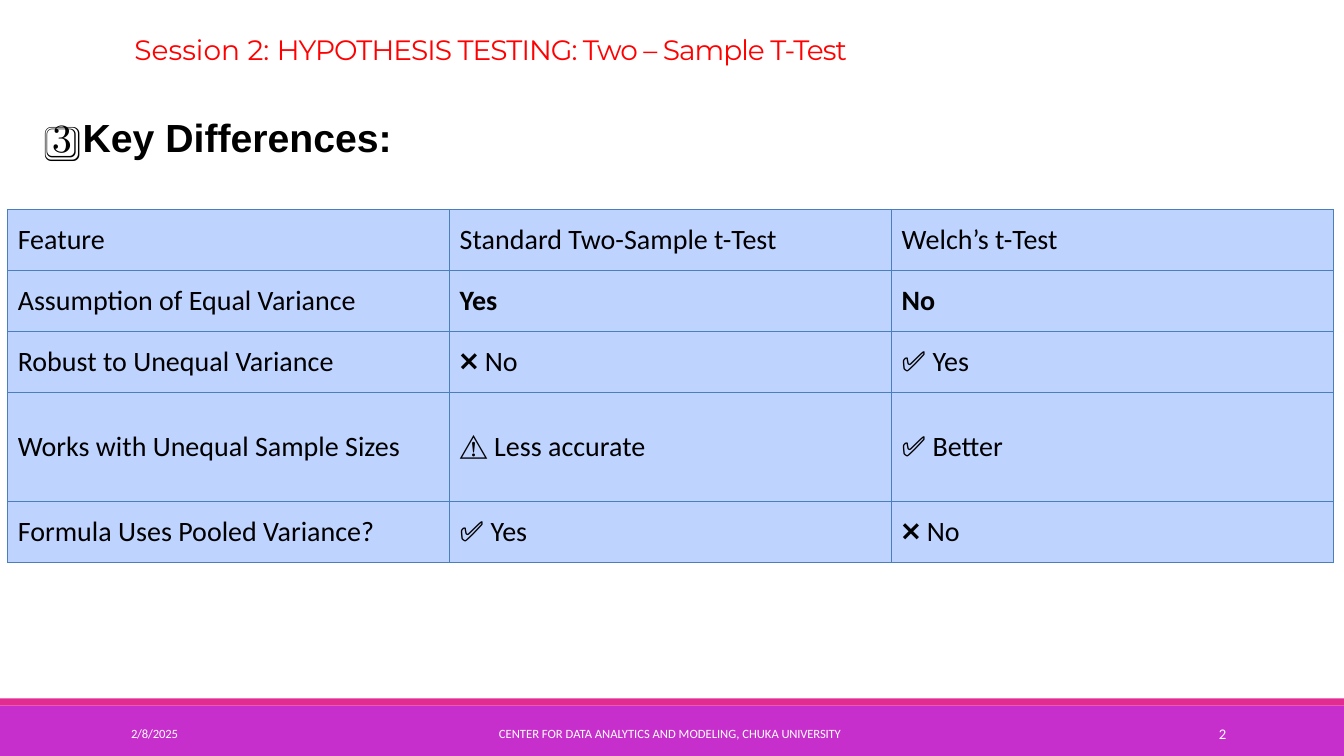
from lxml.etree import SubElement
from pptx import Presentation
from pptx.dml.color import RGBColor
from pptx.enum.shapes import MSO_SHAPE as Shape
from pptx.enum.text import MSO_ANCHOR as Anchor, MSO_AUTO_SIZE as AutoSize, PP_ALIGN as Align
from pptx.oxml.ns import qn
from pptx.util import Pt

COLORS = {
    "band": "C72FCC", "stripe": "E22C91", "cell": "BFD3FF", "border": "4B7EBC",
    "title": "FF0000", "text": "000000", "footer": "FFFFFF",
}


def style_font(font, name, size, color, bold=False):
    font.name = name
    font.size = Pt(size)
    font.bold = bold
    font.color.rgb = RGBColor.from_string(COLORS[color])


def write_line(box, pieces, name, size, color, top_inset):
    frame = box.text_frame
    frame.word_wrap = True
    frame.auto_size = AutoSize.NONE
    frame.vertical_anchor = Anchor.TOP
    frame.margin_left = frame.margin_right = frame.margin_bottom = 0
    frame.margin_top = Pt(top_inset)
    para = frame.paragraphs[0]
    para.alignment = Align.LEFT
    for text, spacing in pieces:
        span = para.add_run()
        span.text = text
        style_font(span.font, name, size, color)
        span.font._element.set("spc", str(round(spacing * 100)))


deck = Presentation()
deck.slide_width, deck.slide_height = Pt(960), Pt(540)
page = deck.slides.add_slide(deck.slide_layouts[5])

for color, top, height in [("band", 504, 36), ("stripe", 498.8, 5.2)]:
    bar = page.shapes.add_shape(Shape.RECTANGLE, 0, Pt(top), Pt(960), Pt(height))
    bar.shadow.inherit = False
    bar.fill.solid()
    bar.fill.fore_color.rgb = RGBColor.from_string(COLORS[color])
    bar.line.fill.background()

footers = [
    (93.6, 516.8, 40, 9, [("2/8/2025", -0.1)]),
    (356.4, 516.8, 256, 9,
     [("CENTER FOR DATA ANALYTICS AND MODELING, CHUKA ", 0), ("UNIVERSITY", -0.1)]),
    (870.6, 516.2, 12, 10.5, [("2", -0.5)]),
]
for left, top, width, size, pieces in footers:
    box = page.shapes.add_textbox(Pt(left), Pt(top), Pt(width), Pt(14))
    write_line(box, pieces, "Calibri", size, "footer", 1.8)

title = page.shapes.title
title.left, title.top, title.width, title.height = Pt(96), Pt(21.6), Pt(738), Pt(25.2)
title_pieces = [("Session ", 0), ("2", -0.4), (": ", 0),
                ("HYPOTHESIS TESTING: Two – Sample T-Test", -0.7)]
write_line(title, title_pieces, "Montserrat", 20, "title", 1.4)

rows = [
    ("Feature", "Standard Two-Sample t-Test", "Welch’s t-Test"),
    ("Assumption of Equal Variance", "Yes", "No"),
    ("Robust to Unequal Variance", "❌ No", "✅ Yes"),
    ("Works with Unequal Sample Sizes", "⚠️ Less accurate", "✅ Better"),
    ("Formula Uses Pooled Variance?", "✅ Yes", "❌ No"),
]
heights = [43.7, 43.7, 43.7, 77.4, 43.7]
table = page.shapes.add_table(
    len(rows), 3, Pt(5.5), Pt(149.6), Pt(947.1), Pt(sum(heights))).table
table.first_row = table.horz_banding = False
for column in table.columns:
    column.width = Pt(315.7)
for row, height, texts in zip(table.rows, heights, rows):
    row.height = Pt(height)
    for cell, text in zip(row.cells, texts):
        cell.text = text
        cell.vertical_anchor = Anchor.MIDDLE
        span = cell.text_frame.paragraphs[0].runs[0]
        style_font(span.font, "Calibri", 20, "text", text in ("Yes", "No"))
        properties = cell._tc.get_or_add_tcPr()
        for side in ("lnL", "lnR", "lnT", "lnB"):
            line = SubElement(properties, qn(f"a:{side}"), w=str(Pt(0.75)))
            fill = SubElement(line, qn("a:solidFill"))
            SubElement(fill, qn("a:srgbClr"), val=COLORS["border"])
        cell.fill.solid()
        cell.fill.fore_color.rgb = RGBColor.from_string(COLORS["cell"])

heading = page.shapes.add_textbox(Pt(30.2), Pt(77), Pt(864), Pt(41))
heading.text_frame.word_wrap = True
heading.text_frame.vertical_anchor = Anchor.MIDDLE
heading.text_frame.text = "3️⃣ Key Differences:"
style_font(heading.text_frame.paragraphs[0].runs[0].font, "Arial", 28, "text", True)

deck.save("out.pptx")
